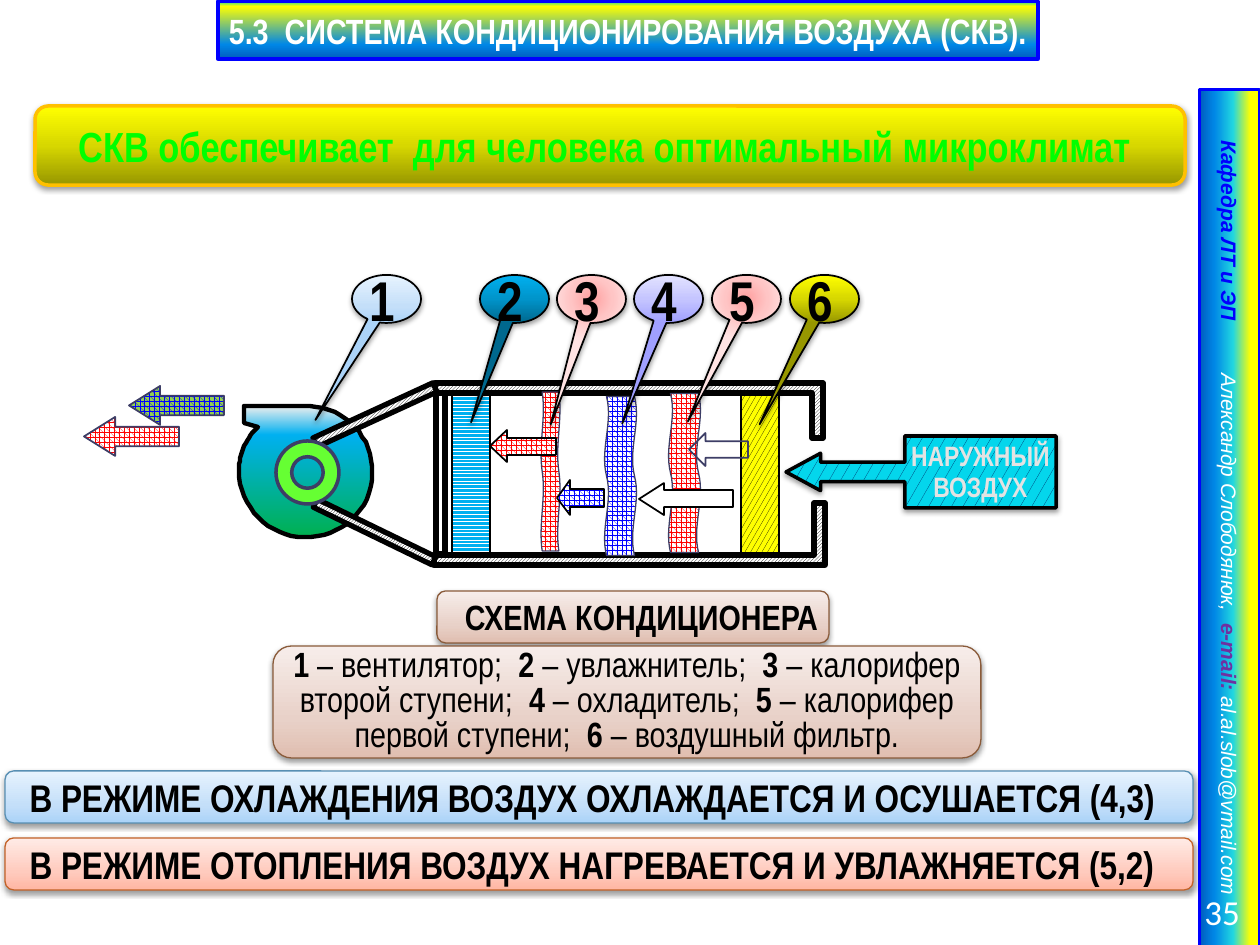
from lxml import etree
from pptx import Presentation
from pptx import util as u
from pptx.dml.color import RGBColor
from pptx.enum import dml, shapes, text
from pptx.oxml.ns import qn

PX = 914400 / 126
S = shapes.MSO_SHAPE
P = dml.MSO_PATTERN
MIDDLE = text.MSO_ANCHOR.MIDDLE
CENTER, LEFT, RIGHT = text.PP_ALIGN.CENTER, text.PP_ALIGN.LEFT, text.PP_ALIGN.RIGHT

COLORS = {
    "black": "000000", "white": "FFFFFF", "blue": "0000FF", "red": "FF0000",
    "yellow": "FFFF00", "lime": "00FF00", "orange": "FFC000", "navy": "002060",
    "slate": "3D3E66", "outline": "3D405C", "sky": "00B0F0", "cyan": "04D6EC",
    "grass": "92D050", "ring": "66FF33", "pale": "E3E3E3", "purple": "7030A0",
    "cool_edge": "588FB3", "heat_edge": "C36228", "legend_edge": "8A5B3A",
}
GRADIENTS = {
    "title": (90, [(0, "03D4A8"), (9, "FFFF00"), (75, "0087E6"), (100, "005CBF")]),
    "sidebar": (90, [(15, "FFFF00"), (44, "21D6E0"), (75, "0087E6"), (100, "005CBF")]),
    "gold": (270, [(0, "979700"), (50, "D7D700"), (100, "FFFF00")]),
    "lilac": (270, [(0, "A0A0FF"), (50, "C5C5FF"), (100, "E3E3FF")]),
    "rose": (None, [(0, "FFA0A0"), (50, "FFC5C5"), (100, "FFE3E3")]),
    "azure": (270, [(0, "00688E"), (50, "0094CA"), (100, "00B0F0")]),
    "cool": (270, [(0, "ABD3F8"), (35, "C4DFF9"), (100, "E7F3FE")]),
    "heat": (270, [(0, "FFB6A3"), (35, "FFCBBE"), (100, "FFEBE6")]),
    "legend": (270, [(0, "E0BEB0"), (35, "E8D1C8"), (100, "F7EDEA")]),
    "fan": (270, [(0, "00B050"), (78, "00B0F0"), (100, "EEEEEE")]),
}
HATCH = (P.LIGHT_UPWARD_DIAGONAL, "black", "white")
RED_MESH = (P.SPHERE, "red", "white")
BLUE_MESH = (P.SPHERE, "blue", "white")


def px(value):
    return u.Emu(round(value * PX))


def rgb(name):
    return RGBColor.from_string(COLORS[name])


def assign(target, values):
    for key, value in values.items():
        setattr(target, key, value)


def add(parent, tag, **attributes):
    return etree.SubElement(parent, qn(tag), {k: str(v) for k, v in attributes.items()})


def add_gradient(shape, name):
    angle, stops = GRADIENTS[name]
    gradient = add(shape._element.spPr, "a:gradFill", rotWithShape=1)
    stop_list = add(gradient, "a:gsLst")
    for position, color in stops:
        add(add(stop_list, "a:gs", pos=position * 1000), "a:srgbClr", val=color)
    if angle is None:
        circle = add(gradient, "a:path", path="circle")
        add(circle, "a:fillToRect", l=50000, t=50000, r=50000, b=50000)
    else:
        add(gradient, "a:lin", ang=angle * 60000, scaled=0)


def paint(shape, fill, line, width, shadow=False):
    if fill in GRADIENTS:
        add_gradient(shape, fill)
    elif isinstance(fill, tuple):
        pattern, fore, back = fill
        shape.fill.patterned()
        shape.fill.pattern = pattern
        shape.fill.fore_color.rgb = rgb(fore)
        shape.fill.back_color.rgb = rgb(back)
    elif fill:
        shape.fill.solid()
        shape.fill.fore_color.rgb = rgb(fill)
    else:
        shape.fill.background()
    shape.line.color.rgb = rgb(line)
    shape.line.width = u.Pt(width)
    if shape.is_placeholder:
        return
    shape.shadow.inherit = False
    if shadow:
        effects = shape._element.spPr.find(qn("a:effectLst"))
        outer = add(effects, "a:outerShdw", blurRad=39370, dist=20320, dir=5400000, rotWithShape=0)
        add(add(outer, "a:srgbClr", val=COLORS["black"]), "a:alpha", val=38000)


def add_part(slide, kind, box, fill, line="black", width=1, turn=0, adj=(), shadow=False):
    part = slide.shapes.add_shape(kind, *map(px, box))
    part.rotation = turn
    for index, value in enumerate(adj):
        part.adjustments[index] = value
    paint(part, fill, line, width, shadow)
    return part


def add_outline(slide, points, fill, width):
    builder = slide.shapes.build_freeform(*points[0], scale=PX)
    builder.add_line_segments(points[1:], close=True)
    paint(builder.convert_to_shape(), fill, "black", width)


def write(shape, paragraphs, size, color="black", font="Arial Narrow", align=CENTER,
          spacing=None, insets=(5, 5, 5, 5), outline=None, **style):
    frame = shape.text_frame
    left, top, right, bottom = map(px, insets)
    assign(frame, {"word_wrap": True, "auto_size": text.MSO_AUTO_SIZE.NONE,
                   "vertical_anchor": MIDDLE, "margin_left": left, "margin_top": top,
                   "margin_right": right, "margin_bottom": bottom})
    for index, runs in enumerate(paragraphs):
        paragraph = frame.add_paragraph() if index else frame.paragraphs[0]
        paragraph.alignment = align
        if spacing:
            paragraph.line_spacing = u.Pt(spacing)
        for words, changes in runs:
            run = paragraph.add_run()
            run.text = words
            values = {"size": u.Pt(size), "name": font, **style, **changes}
            run.font.color.rgb = rgb(values.pop("color", color))
            assign(run.font, values)
            if outline:
                edge = etree.Element(qn("a:ln"), w="12700")
                add(add(edge, "a:solidFill"), "a:srgbClr", val=COLORS[outline])
                run.font._element.insert(0, edge)


def add_title(slide):
    title = slide.shapes.title
    assign(title, dict(zip(("left", "top", "width", "height"), map(px, (218, 1, 820, 58)))))
    add(add(title._element.spPr, "a:prstGeom", prst="roundRect"), "a:avLst")
    paint(title, "title", "blue", 2)
    write(title, [[("5.3  СИСТЕМА КОНДИЦИОНИРОВАНИЯ ВОЗДУХА (СКВ).", {})]], 20, "white", bold=True)


def add_panel(slide, box, fill, line, paragraphs, size, width=0.75, **format_values):
    panel = add_part(slide, S.ROUNDED_RECTANGLE, box, fill, line, width, shadow=True)
    write(panel, paragraphs, size, **format_values)


def add_flow(slide, tip, neck, tail, top, shaft_top, shaft_bottom, bottom, fill):
    points = [(neck, top), (neck, shaft_top), (tail, shaft_top), (tail, shaft_bottom),
              (neck, shaft_bottom), (neck, bottom), (tip, (top + bottom) / 2)]
    add_outline(slide, points, fill, 1)


def add_wall(slide, left, right, outer, inner, end):
    points = [(left, outer), (right, outer), (right, end), (right - 11, end),
              (right - 11, inner), (left, inner)]
    add_outline(slide, points, HATCH, 3)


def curve(start, control_a, control_b, end, steps=16):
    for step in range(1, steps + 1):
        t = step / steps
        weights = ((1 - t) ** 3, 3 * t * (1 - t) ** 2, 3 * t * t * (1 - t), t ** 3)
        points = (start, control_a, control_b, end)
        yield tuple(sum(w * p[axis] for w, p in zip(weights, points)) for axis in (0, 1))


def add_fan(slide):
    casing = [(258, 427)]
    for bend in (((247, 437), (239, 454), (239, 470)), ((239, 508), (270, 537), (304, 537)),
                 ((341, 539), (372, 510), (372, 473)), ((374, 437), (345, 408), (310, 406))):
        casing.extend(curve(casing[-1], *bend))
    add_outline(slide, casing + [(244, 406), (244, 423)], "fan", 2.5)
    for top, width, turn in ((349, 10, 65.3), (466, 9, 115.9)):
        add_part(slide, S.RECTANGLE, (370, top, width, 132), HATCH, width=3, turn=turn)
    add_part(slide, S.DONUT, (276, 441, 63, 63), "ring", "slate", 2)


def add_duct(slide):
    for left, fill in ((452, (P.ZIG_ZAG, "white", "sky")),
                       (741, (P.LARGE_CONFETTI, "black", "yellow"))):
        add_part(slide, S.RECTANGLE, (left, 393, 38, 160), fill, width=0)
    add_wall(slide, 434, 825, 565, 555, 503)
    add_wall(slide, 435, 823, 383, 393, 438)
    for box, fill in (((605, 457, 159, 32), RED_MESH), ((471, 462, 159, 19), RED_MESH),
                      ((541, 460, 159, 32), BLUE_MESH)):
        add_part(slide, S.DOUBLE_WAVE, box, fill, "slate", 0, turn=90)
    add_flow(slide, 639, 664, 733, 483, 490, 507, 515, "white")
    add_flow(slide, 557, 570, 604, 480, 489, 507, 515, BLUE_MESH)
    add_flow(slide, 490, 507, 556, 430, 438, 455, 462, RED_MESH)
    add_part(slide, S.RECTANGLE, (436, 393, 9, 161), None, width=3)
    add_part(slide, S.LEFT_ARROW, (689, 433, 59, 33), None, "slate")
    for left, top, fill in ((84, 417, RED_MESH), (129, 386, (P.SPHERE, "blue", "grass"))):
        add_part(slide, S.LEFT_ARROW, (left, top, 95, 39), fill, "slate", adj=(0.5, 0.8))
    intake = add_part(slide, S.LEFT_ARROW_CALLOUT, (786, 436, 270, 72),
                      (P.SMALL_CONFETTI, "navy", "cyan"), width=2,
                      adj=(0.27, 0.26, 0.48, 0.56), shadow=True)
    write(intake, [[("НАРУЖНЫЙ", {})], [("ВОЗДУХ", {})]], 16, "pale", spacing=18,
          outline="outline", bold=True)


def add_balloons(slide):
    balloons = ((352, "cool", -1.03, 2.52), (480, "azure", -0.63, 2.57),
                (557, "rose", -0.59, 2.61), (634, "lilac", -0.67, 2.59),
                (712, "rose", -0.85, 2.55), (790, "gold", -0.94, 2.61))
    for number, (left, fill, *pointer) in enumerate(balloons, 1):
        balloon = add_part(slide, S.OVAL_CALLOUT, (left, 275, 69, 48), fill,
                           adj=pointer, shadow=True)
        write(balloon, [[(str(number), {})]], 32, insets=(5, 5, 14, 5), bold=True)


def add_panels(slide):
    add_panel(slide, (35, 106, 1150, 79), "gold", "orange",
              [[("СКВ обеспечивает  для человека оптимальный микроклимат", {})]], 24, 2,
              color="lime", outline="black", insets=(5, 5, 16, 5), bold=True)
    for top, mode, words in (
            (771, "cool", "В РЕЖИМЕ ОХЛАЖДЕНИЯ ВОЗДУХ ОХЛАЖДАЕТСЯ И ОСУШАЕТСЯ (4,3)"),
            (838, "heat", "В РЕЖИМЕ ОТОПЛЕНИЯ ВОЗДУХ НАГРЕВАЕТСЯ И УВЛАЖНЯЕТСЯ (5,2)")):
        add_panel(slide, (5, top, 1188, 52), mode, mode + "_edge", [[(words, {})]], 22,
                  align=LEFT, insets=(22, 5, 5, 5), bold=True)
    add_panel(slide, (437, 591, 392, 52), "legend", "legend_edge",
              [[("СХЕМА КОНДИЦИОНЕРА", {})]], 20, insets=(22, 5, 5, 5), bold=True)
    names = ("вентилятор;  ", "увлажнитель;  ", "калорифер второй ступени;  ",
             "охладитель;  ", "калорифер первой ступени;  ", "воздушный фильтр.")
    legend = []
    for number, name in enumerate(names, 1):
        legend += [(str(number), {"bold": True}), (" – " + name, {"bold": False})]
    add_panel(slide, (273, 646, 708, 112), "legend", "legend_edge", [legend], 20, spacing=20)


def add_sidebar(slide):
    sidebar = add_part(slide, S.RECTANGLE, (801, 488, 857, 60), "sidebar", "blue", 2, turn=90)
    properties = sidebar.text_frame.paragraphs[0]._p.get_or_add_pPr()
    add(add(properties, "a:tabLst"), "a:tab", pos=px(233), algn="l")
    credits = [("Кафедра ЛТ и ЭП\t", {"color": "blue", "bold": True}),
               ("Александр Слободянюк,  ", {"bold": False}),
               ("e-mail: ", {"color": "purple", "bold": True}),
               ("al.al.slob@vmail.com", {"bold": False})]
    write(sidebar, [credits], 12, "white", "Arial", LEFT, insets=(51, 6, 13, 6), italic=True)
    page = slide.shapes.add_textbox(*map(px, (1116, 886, 137, 50)))
    write(page, [[("35", {})]], 20, "white", "Calibri", RIGHT, insets=(13, 6, 13, 6))


def main():
    deck = Presentation()
    assign(deck, {"slide_width": px(1260), "slide_height": px(945)})
    slide = deck.slides.add_slide(deck.slide_layouts[5])
    for build in (add_title, add_duct, add_fan, add_balloons, add_panels, add_sidebar):
        build(slide)
    deck.save("out.pptx")


if __name__ == "__main__":
    main()
